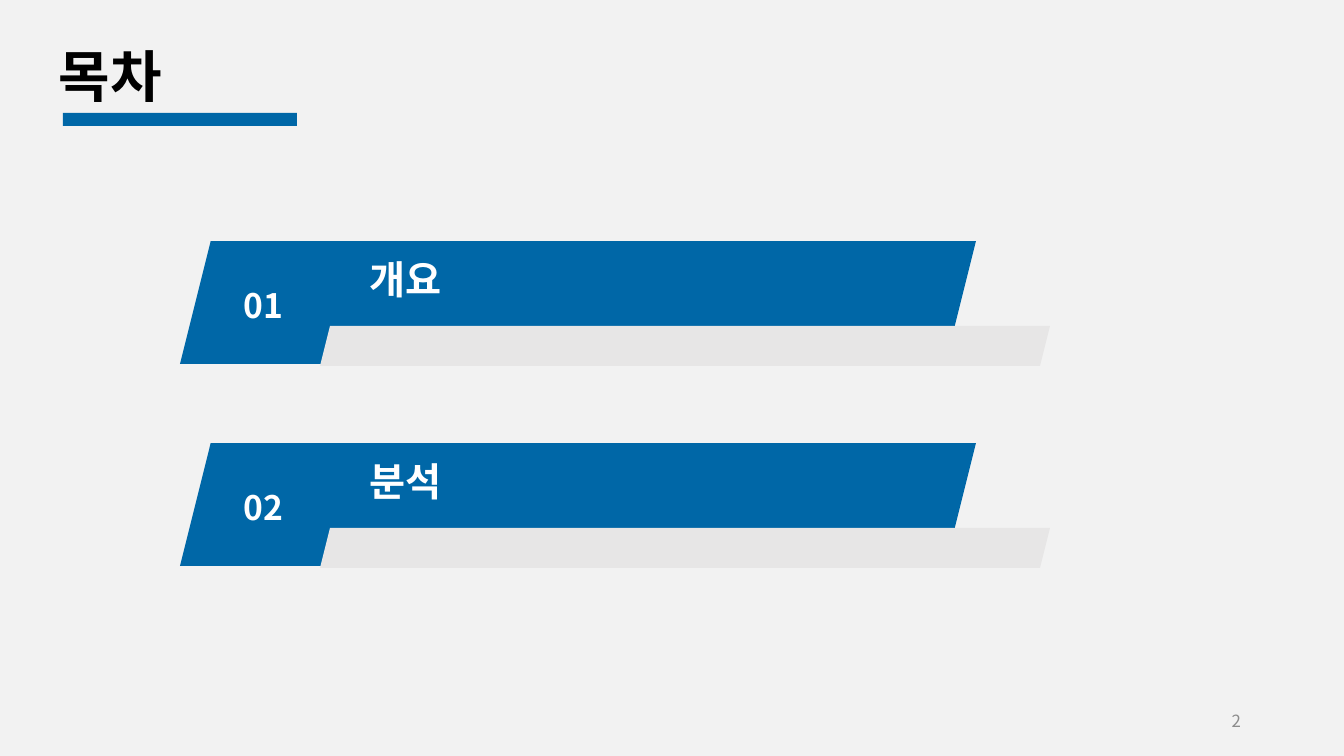
import pptx
import pptx.dml.color
import pptx.enum.shapes
import pptx.enum.text
import pptx.oxml.ns
import pptx.util
import lxml.etree

PX = 914400 / 100.8
FONT = "Noto Sans CJK KR"
BLUE = pptx.dml.color.RGBColor(0x00, 0x67, 0xA7)
PALE_GRAY = pptx.dml.color.RGBColor(0xE7, 0xE6, 0xE6)
BACKGROUND = pptx.dml.color.RGBColor(0xF2, 0xF2, 0xF2)
NUMBER_GRAY = pptx.dml.color.RGBColor(0x8C, 0x8C, 0x8C)
BLACK = pptx.dml.color.RGBColor(0x00, 0x00, 0x00)
WHITE = pptx.dml.color.RGBColor(0xFF, 0xFF, 0xFF)

RECTANGLE = pptx.enum.shapes.MSO_SHAPE.RECTANGLE
PARALLELOGRAM = pptx.enum.shapes.MSO_SHAPE.PARALLELOGRAM
ALIGN = pptx.enum.text.PP_ALIGN


def add_block(shapes, kind, box, color):
    shape = shapes.add_shape(kind, *(round(value * PX) for value in box))
    shape.shadow.inherit = False
    shape.fill.solid()
    shape.fill.fore_color.rgb = color
    shape.line.fill.background()


def add_label(shapes, text, box, size, color, bold=True, align=ALIGN.LEFT):
    label = shapes.add_textbox(*(round(value * PX) for value in box))
    frame = label.text_frame
    frame.word_wrap = True
    frame.vertical_anchor = pptx.enum.text.MSO_ANCHOR.MIDDLE
    paragraph = frame.paragraphs[0]
    paragraph.text = text
    paragraph.alignment = align
    paragraph.font.size = pptx.util.Pt(size)
    paragraph.font.bold = bold
    paragraph.font.color.rgb = color
    paragraph.font.name = FONT
    # Korean glyphs take the East Asian typeface
    east_asian = lxml.etree.SubElement(
        paragraph._p.pPr.defRPr, pptx.oxml.ns.qn("a:ea"))
    east_asian.set("typeface", FONT)
    return paragraph


presentation = pptx.Presentation()
presentation.slide_width = round(1344 * PX)
presentation.slide_height = round(756 * PX)
slide = presentation.slides.add_slide(presentation.slide_layouts[6])
slide.background.fill.solid()
slide.background.fill.fore_color.rgb = BACKGROUND

# Title with underline bar
add_block(slide.shapes, RECTANGLE, (63, 113, 234, 13), BLUE)
title = add_label(slide.shapes, "목차", (49, 30, 1159, 99), 40, BLACK)
title.line_spacing = 0.9

# Agenda entries
for index, entry in enumerate(["개요", "분석"]):
    top = 241 + 202 * index
    group = slide.shapes.add_group_shape()
    add_block(group.shapes, PARALLELOGRAM, (180, top, 796, 123), BLUE)
    add_block(group.shapes, PARALLELOGRAM, (320, top + 85, 730, 40), PALE_GRAY)
    add_label(group.shapes, f"{index + 1:02d}", (189, top + 19, 149, 91),
              24, WHITE, align=ALIGN.CENTER)
    add_label(group.shapes, entry, (360, top + 14, 440, 47), 28, WHITE)

# Slide number
add_label(slide.shapes, "2", (949, 701, 302, 40), 12, NUMBER_GRAY,
          bold=False, align=ALIGN.RIGHT)

presentation.save("out.pptx")
